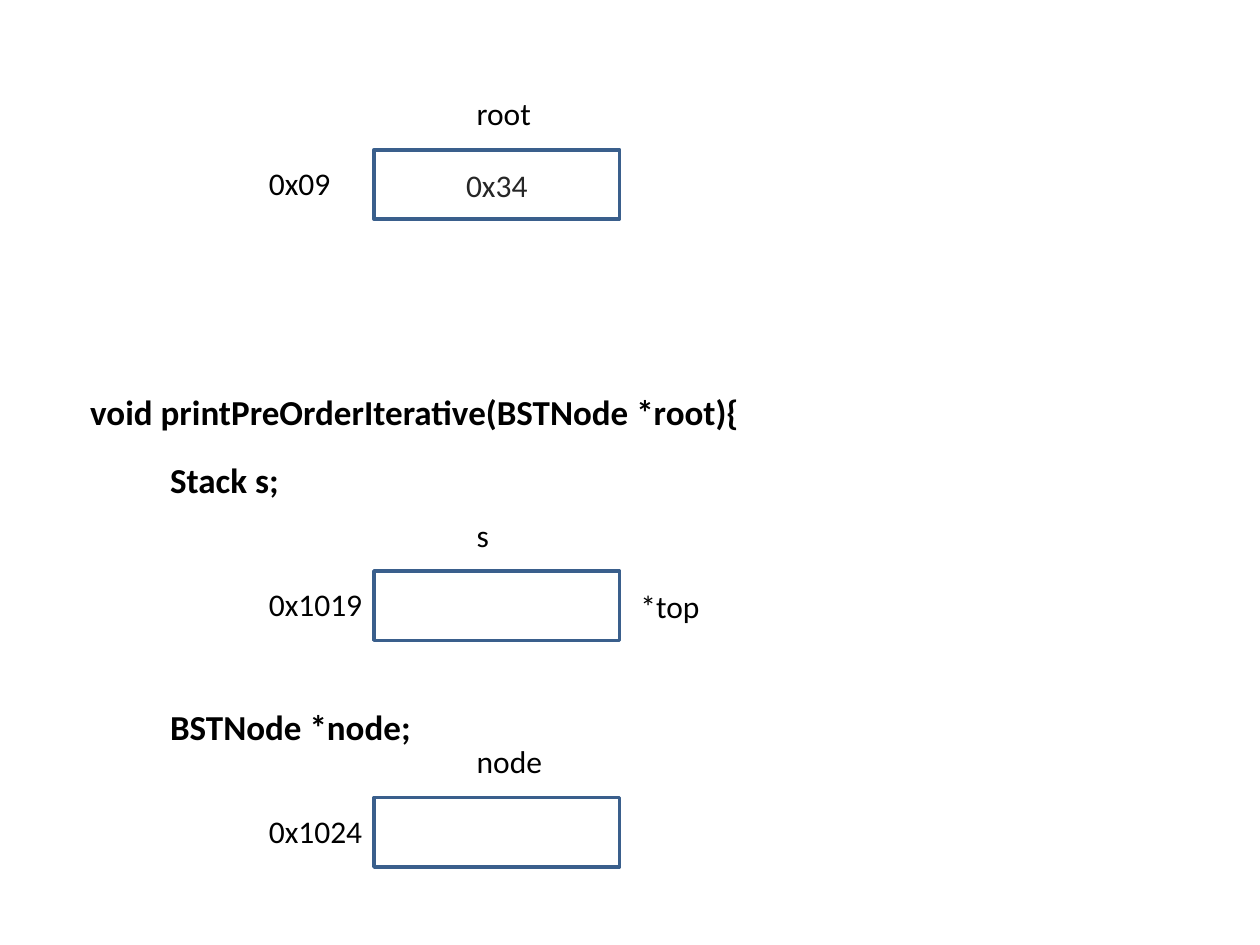
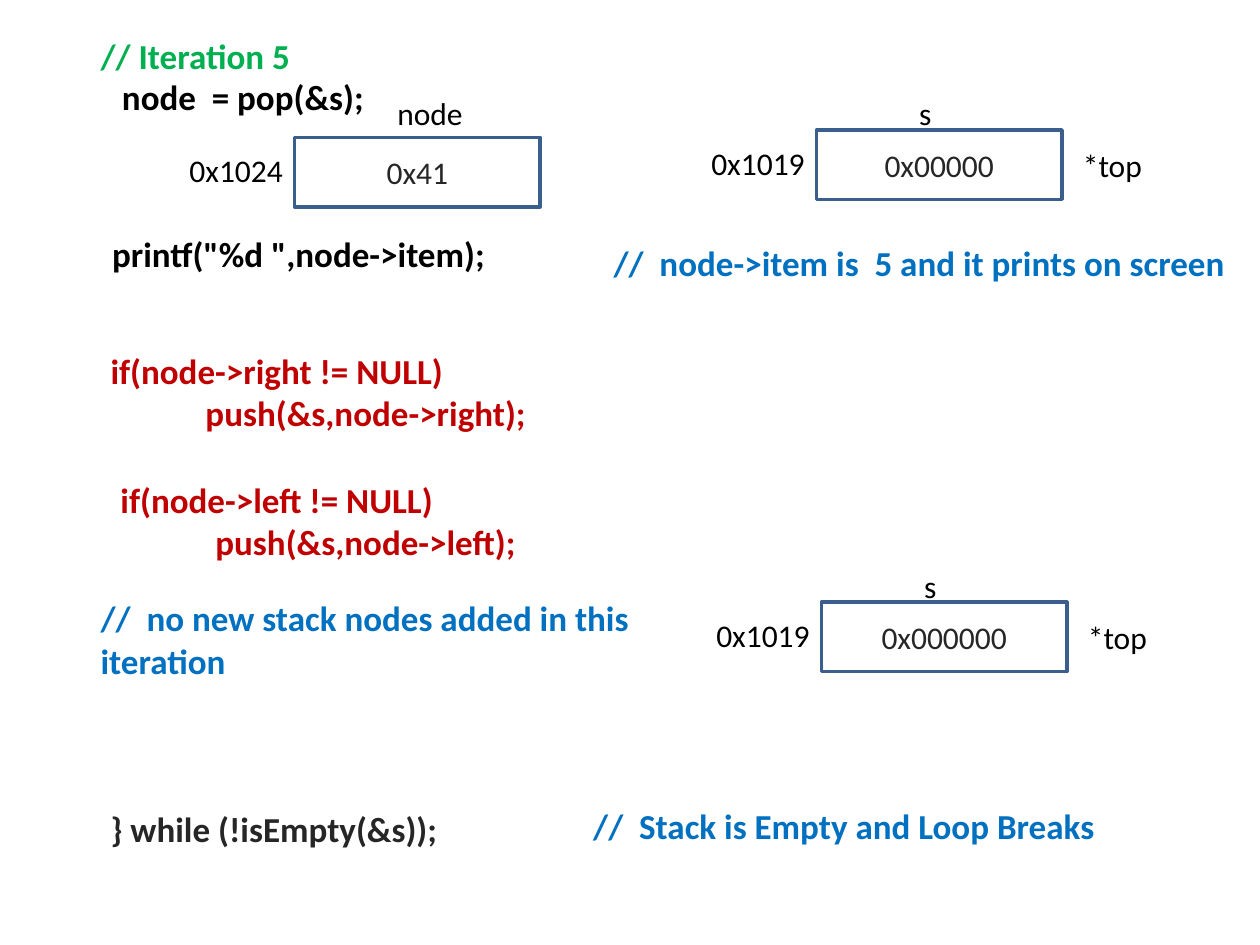
import pptx
import pptx.dml.color
import pptx.enum.shapes
import pptx.enum.text
import pptx.util

Cm = pptx.util.Cm
Pt = pptx.util.Pt

# Shared look
BLACK, GREY, BORDER = "000000", "262626", "3A5F8C"
GREEN, RED, BLUE = "00B050", "C00000", "0070C0"
LABEL = {"name": "Calibri", "size": Pt(18), "bold": False}
CODE = {"name": "Calibri", "size": Pt(20), "bold": True}

# Memory cells and their labels, in cm
CELL_WIDTH, CELL_HEIGHT = 4.95, 1.4
LABEL_HEIGHT = 1.02
LABEL_WIDTHS = {"s": 0.76, "node": 1.85, "root": 1.63, "*top": 1.73,
                "0x09": 1.75, "0x1019": 2.41, "0x1024": 2.41}
LINE_HEIGHT, CODE_PADDING = 0.85, 0.25


def rgb(hex_colour):
    return pptx.dml.color.RGBColor.from_string(hex_colour)


def write(shape, text, font_format, colour):
    shape.text_frame.text = text
    for paragraph in shape.text_frame.paragraphs:
        for attribute, value in font_format.items():
            setattr(paragraph.font, attribute, value)
        paragraph.font.color.rgb = rgb(colour)


# Cells: left, top, rise of the name, name, address, value, side label
# Code: left, top, width, lines, colour, text
slides = [
    {
        "cells": [
            (7.54, 3.02, 1.24, "root", "0x09", "0x34", ""),
            (7.54, 11.51, 1.24, "s", "0x1019", "", "*top"),
            (7.54, 16.08, 1.24, "node", "0x1024", "", ""),
        ],
        "code": [
            (1.57, 7.75, 14.1, 1, BLACK, "void printPreOrderIterative(BSTNode *root){"),
            (3.18, 9.12, 4.78, 1, BLACK, "Stack s;"),
            (3.18, 14.1, 12.5, 1, BLACK, "BSTNode *node;"),
        ],
    },
    {
        "cells": [
            (5.94, 2.77, 1.0, "node", "0x1024", "0x41", ""),
            (16.46, 2.62, 0.84, "s", "0x1019", "0x00000", "*top"),
            (16.56, 12.14, 0.84, "s", "0x1019", "0x000000", "*top"),
        ],
        "code": [
            (1.78, 0.58, 6.76, 1, GREEN, "// Iteration 5"),
            (2.21, 1.4, 9.91, 1, BLACK, "node  = pop(&s);"),
            (2.01, 4.57, 9.91, 1, BLACK, 'printf("%d ",node->item);'),
            (12.12, 4.75, 13.28, 1, BLUE, "//  node->item is  5 and it prints on screen"),
            (1.98, 6.93, 10.52, 2, RED,
             "if(node->right != NULL)\n            push(&s,node->right);"),
            (2.18, 9.53, 10.52, 2, RED,
             "if(node->left != NULL)\n            push(&s,node->left);"),
            (1.78, 11.91, 13.28, 2, BLUE, "//  no new stack nodes added in this iteration"),
            (1.98, 16.15, 10.52, 1, GREY, "} while (!isEmpty(&s));"),
            (11.71, 16.1, 13.28, 1, BLUE, "//  Stack is Empty and Loop Breaks"),
        ],
    },
]

presentation = pptx.Presentation()
presentation.slide_width, presentation.slide_height = Cm(25.4), Cm(19.05)

for content in slides:
    slide = presentation.slides.add_slide(presentation.slide_layouts[6])

    # Code lines and comments
    for left, top, width, lines, colour, text in content["code"]:
        height = lines * LINE_HEIGHT + CODE_PADDING
        box = slide.shapes.add_textbox(Cm(left), Cm(top), Cm(width), Cm(height))
        box.text_frame.word_wrap = True
        write(box, text, CODE, colour)

    for left, top, rise, name, address, value, side in content["cells"]:
        # Memory cell
        cell = slide.shapes.add_shape(
            pptx.enum.shapes.MSO_SHAPE.RECTANGLE,
            Cm(left), Cm(top), Cm(CELL_WIDTH), Cm(CELL_HEIGHT))
        cell.shadow.inherit = False
        cell.fill.background()
        cell.line.color.rgb = rgb(BORDER)
        cell.line.width = Pt(2)
        if value:
            write(cell, value, LABEL, GREY)
            cell.text_frame.vertical_anchor = pptx.enum.text.MSO_ANCHOR.MIDDLE
            cell.text_frame.paragraphs[0].alignment = pptx.enum.text.PP_ALIGN.CENTER

        # Name above, address to the left, pointer to the right
        labels = [(name, 1.82, -rise), (address, -2.37, 0.16), (side, 5.12, 0.19)]
        for text, shift_x, shift_y in labels:
            if text:
                label = slide.shapes.add_textbox(
                    Cm(left + shift_x), Cm(top + shift_y),
                    Cm(LABEL_WIDTHS[text]), Cm(LABEL_HEIGHT))
                label.text_frame.word_wrap = False
                write(label, text, LABEL, BLACK)

presentation.save("out.pptx")
